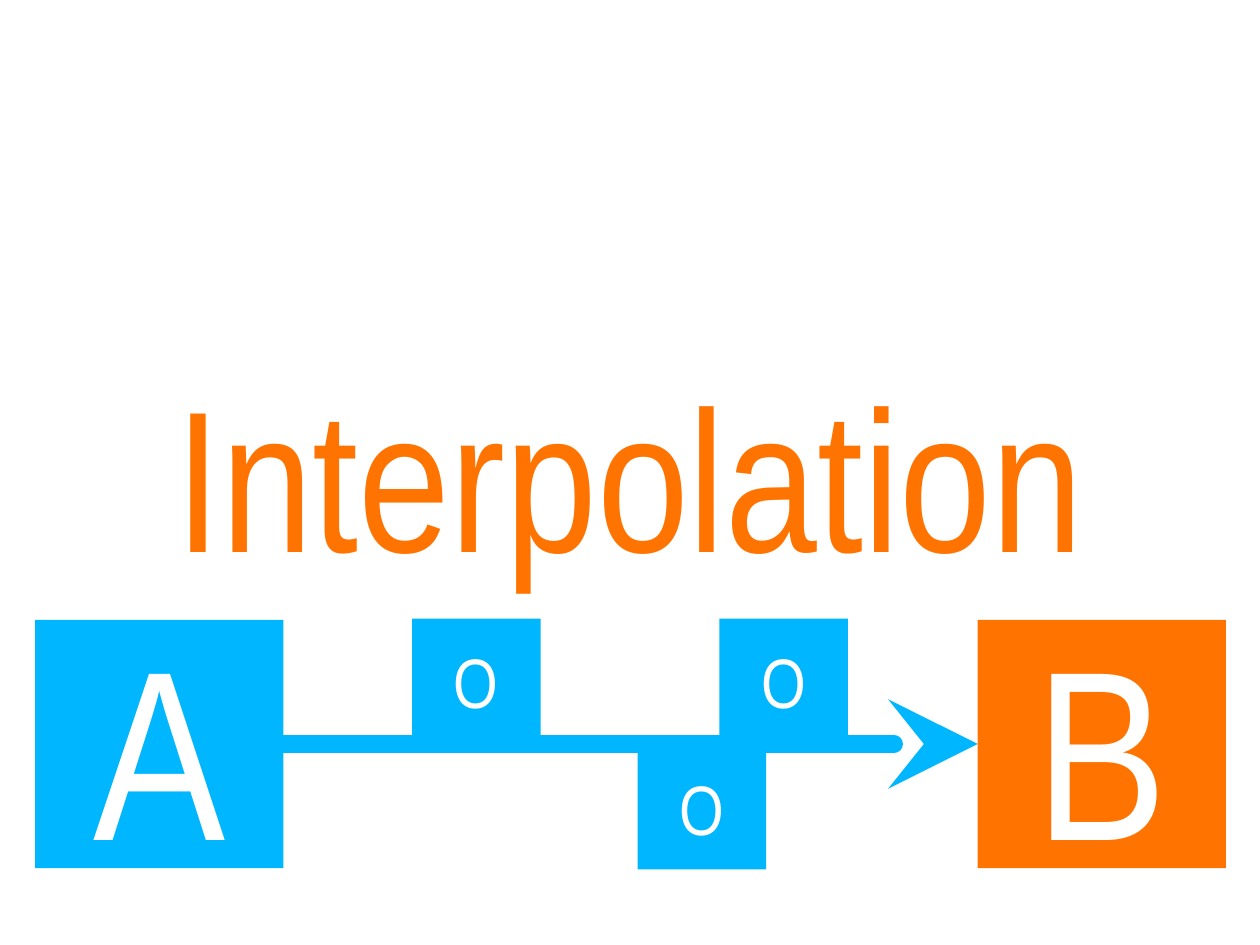
from lxml.etree import SubElement
from pptx import Presentation
from pptx.dml.color import RGBColor
from pptx.enum.shapes import MSO_CONNECTOR, MSO_SHAPE
from pptx.enum.text import MSO_ANCHOR, PP_ALIGN
from pptx.oxml.ns import qn
from pptx.util import Inches, Pt

COLORS = {"blue": "00B7FF", "orange": "FF7400", "white": "FFFFFF"}
FONT = "Arial Narrow"
KEY_SIZE = 1.97
KEY_TOP = 4.92
STEP_SIZE = (1.02, 0.98)
STEP_POSITIONS = [(3.27, 4.91), (5.06, 5.92), (5.71, 4.91)]


def color(name):
    return RGBColor.from_string(COLORS[name])


def write_text(shape, text, size, color_name):
    frame = shape.text_frame
    frame.word_wrap = True
    frame.vertical_anchor = MSO_ANCHOR.MIDDLE
    para = frame.paragraphs[0]
    para.text = text
    para.alignment = PP_ALIGN.CENTER
    para.font.name = FONT
    para.font.size = Pt(size)
    para.font.color.rgb = color(color_name)


def add_box(page, left, top, width, height, fill, text, size):
    box = page.shapes.add_shape(
        MSO_SHAPE.RECTANGLE, Inches(left), Inches(top), Inches(width), Inches(height)
    )
    box.shadow.inherit = False
    box.fill.solid()
    box.fill.fore_color.rgb = color(fill)
    box.line.fill.background()
    write_text(box, text, size, "white")
    return box


def add_arrow(page, start, end):
    """Join the right side of start to the left side of end."""
    arrow = page.shapes.add_connector(MSO_CONNECTOR.STRAIGHT, 0, 0, 0, 0)
    arrow.begin_connect(start, 3)
    arrow.end_connect(end, 1)
    arrow.line.width = Pt(10.25)
    arrow.line.color.rgb = color("blue")
    properties = arrow.element.spPr
    line = properties.find(qn("a:ln"))
    line.set("cap", "rnd")
    SubElement(line, qn("a:tailEnd"), type="stealth", w="lg", len="lg")
    SubElement(properties, qn("a:effectLst"))


def add_title(page, text):
    title = page.shapes.add_textbox(Inches(1.06), Inches(2.96), Inches(7.87), Inches(1.57))
    frame = title.text_frame
    frame.margin_left = frame.margin_right = 0
    frame.margin_top = frame.margin_bottom = 0
    write_text(title, text, 115, "orange")


def main():
    deck = Presentation()
    deck.slide_width, deck.slide_height = Inches(10), Inches(7.5)
    page = deck.slides.add_slide(deck.slide_layouts[6])

    end = add_box(page, 7.76, KEY_TOP, KEY_SIZE, KEY_SIZE, "orange", "B", 138)
    start = add_box(page, 0.28, KEY_TOP, KEY_SIZE, KEY_SIZE, "blue", "A", 138)
    add_arrow(page, start, end)
    for left, top in STEP_POSITIONS:
        add_box(page, left, top, *STEP_SIZE, "blue", "O", 40)
    add_title(page, "Interpolation")

    deck.save("out.pptx")


if __name__ == "__main__":
    main()
